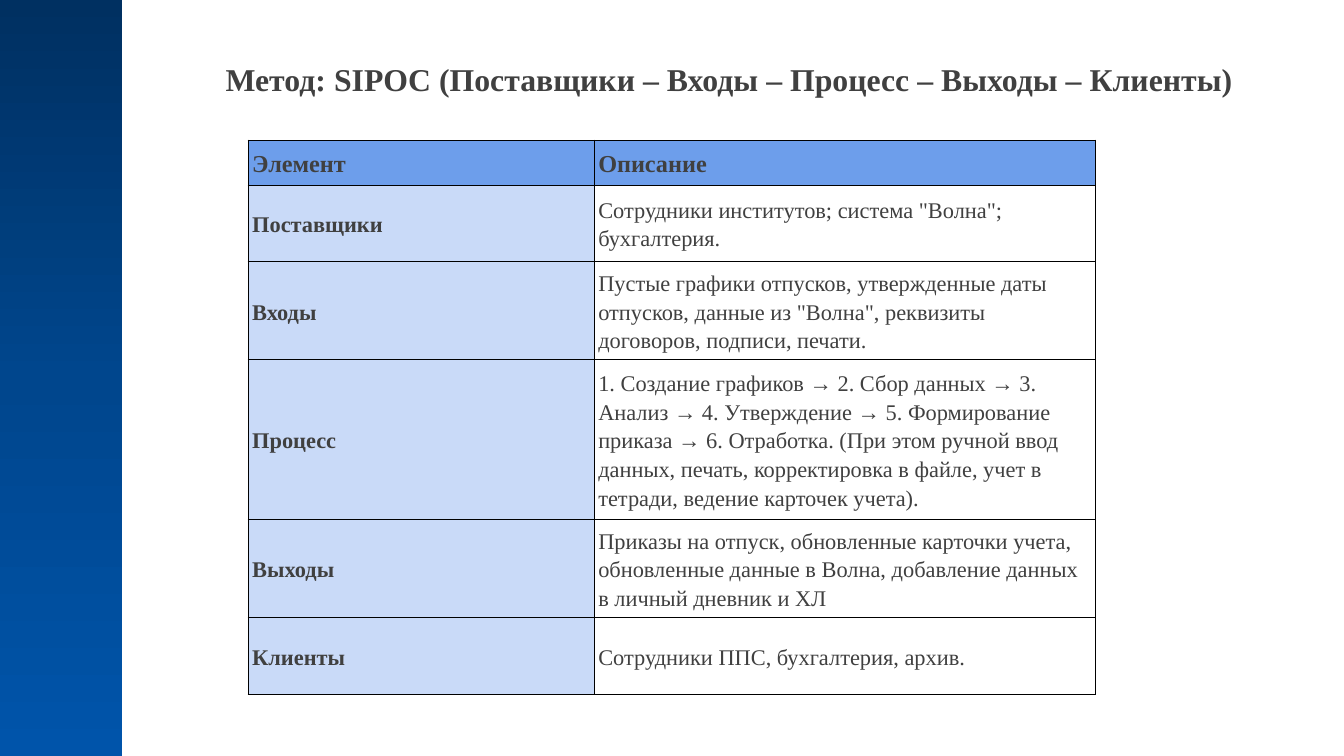
from dataclasses import dataclass

from lxml import etree
from pptx import Presentation
from pptx import util as u
from pptx.dml.color import RGBColor
from pptx.enum import shapes, text
from pptx.oxml.ns import qn


@dataclass(frozen=True)
class Theme:
    font: str = "Times New Roman"
    ink: str = "404040"
    border: str = "000000"
    header: str = "6D9EEB"
    element: str = "C9DAF8"
    description: str = "FFFFFF"
    band_top: str = "003061"
    band_middle: str = "00468D"
    band_bottom: str = "0054AA"
    title_size: float = 17
    header_size: float = 13
    body_size: float = 12
    border_width: float = 0.6
    line_spacing: float = 1.15


@dataclass(frozen=True)
class Area:
    """A rectangle in percent of the slide's width and height."""
    left: float
    top: float
    width: float
    height: float


@dataclass(frozen=True)
class Step:
    element: str
    description: str


THEME = Theme()
SLIDE_WIDTH = u.Inches(10)
SLIDE_HEIGHT = SLIDE_WIDTH * 9 // 16

BAND = Area(0, 0, 9.1, 100)
TITLE = Area(15.8, 6.1, 83.3, 8.71)
HEADER_HEIGHT, ROW_HEIGHT = 5.93, 10.13
COLUMN_WIDTHS = (25.75, 37.3)

HEADER = Step("Элемент", "Описание")
STEPS = [
    Step("Поставщики", 'Сотрудники институтов; система "Волна"; бухгалтерия.'),
    Step("Входы", "Пустые графики отпусков, утвержденные даты отпусков, "
         'данные из "Волна", реквизиты договоров, подписи, печати.'),
    Step("Процесс", "1. Создание графиков → 2. Сбор данных → 3. Анализ → "
         "4. Утверждение → 5. Формирование приказа → 6. Отработка. "
         "(При этом ручной ввод данных, печать, корректировка в файле, "
         "учет в тетради, ведение карточек учета)."),
    Step("Выходы", "Приказы на отпуск, обновленные карточки учета, обновленные "
         "данные в Волна, добавление данных в личный дневник и ХЛ"),
    Step("Клиенты", "Сотрудники ППС, бухгалтерия, архив."),
]
TABLE = Area(18.47, 18.55, sum(COLUMN_WIDTHS), HEADER_HEIGHT + ROW_HEIGHT * len(STEPS))


def across(percent: float) -> int:
    return round(SLIDE_WIDTH * percent / 100)


def down(percent: float) -> int:
    return round(SLIDE_HEIGHT * percent / 100)


def place(area: Area) -> tuple[int, int, int, int]:
    return across(area.left), down(area.top), across(area.width), down(area.height)


def write(frame, words: str, *, size: float, bold: bool = False,
          line_spacing: float = 1.0) -> None:
    para = frame.paragraphs[0]
    para.line_spacing = line_spacing
    span = para.add_run()
    span.text = words
    span.font.name = THEME.font
    span.font.size = u.Pt(size)
    span.font.bold = bold
    span.font.color.rgb = RGBColor.from_string(THEME.ink)


def draw_band(page) -> None:
    band = page.shapes.add_shape(shapes.MSO_SHAPE.RECTANGLE, *place(BAND))
    band.shadow.inherit = False
    band.line.fill.background()
    band.fill.gradient()
    band.fill.gradient_angle = 270
    stops = band.element.spPr.find(qn("a:gradFill")).find(qn("a:gsLst"))
    for stop in list(stops):
        stops.remove(stop)
    colours = (THEME.band_top, THEME.band_middle, THEME.band_bottom)
    for position, colour in zip((0, 50, 100), colours):
        stop = etree.SubElement(stops, qn("a:gs"), pos=str(position * 1000))
        etree.SubElement(stop, qn("a:srgbClr"), val=colour)


def draw_title(page, words: str) -> None:
    box = page.shapes.add_textbox(*place(TITLE))
    frame = box.text_frame
    frame.word_wrap = True
    frame.auto_size = text.MSO_AUTO_SIZE.SHAPE_TO_FIT_TEXT
    frame.margin_left = frame.margin_right = u.Inches(0.1)
    frame.margin_top = frame.margin_bottom = u.Inches(0.1)
    write(frame, words, size=THEME.title_size, bold=True)


def add_borders(cell) -> None:
    properties = cell._tc.get_or_add_tcPr()
    for side in ("a:lnL", "a:lnR", "a:lnT", "a:lnB"):
        line = etree.SubElement(properties, qn(side), w=str(u.Pt(THEME.border_width)))
        fill = etree.SubElement(line, qn("a:solidFill"))
        etree.SubElement(fill, qn("a:srgbClr"), val=THEME.border)


def fill_cell(cell, words: str, *, colour: str, size: float, bold: bool) -> None:
    add_borders(cell)
    cell.fill.solid()
    cell.fill.fore_color.rgb = RGBColor.from_string(colour)
    cell.vertical_anchor = text.MSO_ANCHOR.MIDDLE
    cell.margin_left = cell.margin_right = u.Inches(0.03)
    cell.margin_top = cell.margin_bottom = u.Inches(0.02)
    write(cell.text_frame, words, size=size, bold=bold,
          line_spacing=THEME.line_spacing)


def draw_table(page, header: Step, steps: list[Step]) -> None:
    table = page.shapes.add_table(len(steps) + 1, len(COLUMN_WIDTHS), *place(TABLE)).table
    table.horz_banding = False
    table.first_row = False
    for column, width in zip(table.columns, COLUMN_WIDTHS):
        column.width = across(width)
    for index, step in enumerate([header, *steps]):
        is_header = index == 0
        table.rows[index].height = down(HEADER_HEIGHT if is_header else ROW_HEIGHT)
        size = THEME.header_size if is_header else THEME.body_size
        fill_cell(table.cell(index, 0), step.element, size=size, bold=True,
                  colour=THEME.header if is_header else THEME.element)
        fill_cell(table.cell(index, 1), step.description, size=size, bold=is_header,
                  colour=THEME.header if is_header else THEME.description)


def main() -> None:
    deck = Presentation()
    deck.slide_width, deck.slide_height = SLIDE_WIDTH, SLIDE_HEIGHT
    page = deck.slides.add_slide(deck.slide_layouts[6])
    draw_band(page)
    draw_title(page, "Метод: SIPOC (Поставщики – Входы – Процесс – Выходы – Клиенты)")
    draw_table(page, HEADER, STEPS)
    deck.save("out.pptx")


if __name__ == "__main__":
    main()
